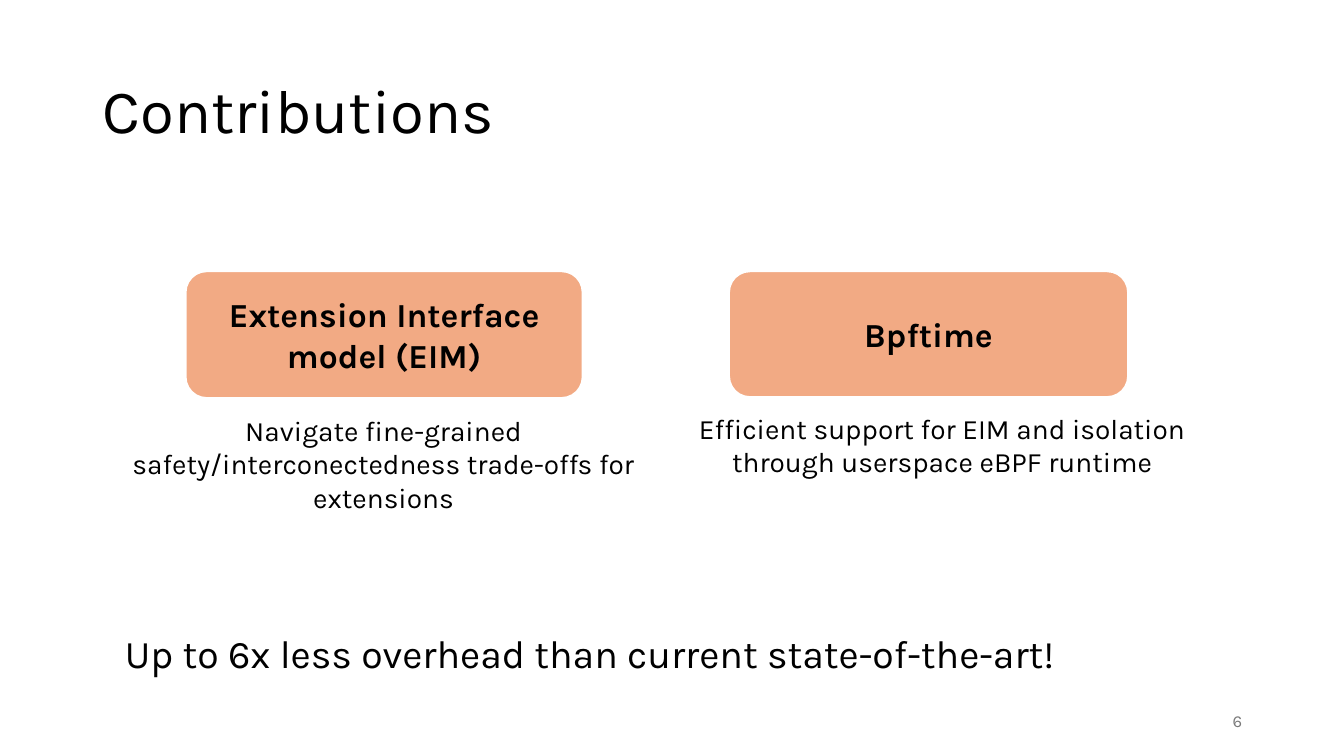
from pptx import Presentation
from pptx.dml.color import RGBColor
from pptx.enum.shapes import MSO_SHAPE
from pptx.enum.text import MSO_ANCHOR, PP_ALIGN
from pptx.util import Inches, Pt

BLACK = RGBColor(0x00, 0x00, 0x00)
GREY = RGBColor(0x79, 0x79, 0x79)
WHITE = RGBColor(0xFF, 0xFF, 0xFF)
PEACH = RGBColor(0xF2, 0xAA, 0x84)
FONT = "Karla"
ROUND = MSO_SHAPE.ROUNDED_RECTANGLE
LEFT, CENTER, RIGHT = PP_ALIGN.LEFT, PP_ALIGN.CENTER, PP_ALIGN.RIGHT
TOP, MIDDLE = MSO_ANCHOR.TOP, MSO_ANCHOR.MIDDLE


class Deck:
    def __init__(self):
        self.show = Presentation()
        self.show.slide_width = Inches(13.33)
        self.show.slide_height = Inches(7.5)
        self.slide = self.show.slides.add_slide(self.show.slide_layouts[5])

    def label(self, shape, text, size, align=LEFT, anchor=TOP, color=BLACK, bold=False):
        frame = shape.text_frame
        frame.word_wrap = True
        frame.vertical_anchor = anchor
        para = frame.paragraphs[0]
        para.text = text
        para.alignment = align
        font = para.font
        font.name, font.size, font.bold = FONT, Pt(size), bold
        font.color.rgb = color
        return para

    def title(self, text, x, y, w, h):
        head = self.slide.shapes.title
        head.left, head.top = Inches(x), Inches(y)
        head.width, head.height = Inches(w), Inches(h)
        self.label(head, text, 44, anchor=MIDDLE).line_spacing = 0.9

    def text(self, text, x, y, w, h, size, **style):
        box = self.slide.shapes.add_textbox(Inches(x), Inches(y), Inches(w), Inches(h))
        self.label(box, text, size, **style)

    def card(self, text, x, y, w, h):
        card = self.slide.shapes.add_shape(ROUND, Inches(x), Inches(y), Inches(w), Inches(h))
        card.shadow.inherit = False
        card.fill.solid()
        card.fill.fore_color.rgb = PEACH
        card.line.color.rgb = WHITE
        card.line.width = Pt(1.5)
        self.label(card, text, 24, CENTER, MIDDLE, bold=True)

    def save(self):
        self.show.save("out.pptx")


def main():
    deck = Deck()
    deck.title("Contributions", 0.92, 0.4, 11.5, 1.45)
    deck.text("Up to 6x less overhead than current state-of-the-art!",
              1.14, 6.19, 10.09, 0.57, 28)
    deck.text("6", 9.42, 6.95, 3, 0.4, 12, align=RIGHT, anchor=MIDDLE, color=GREY)
    parts = [
        ("Extension Interface model (EIM)", 1.84, 3.94, 1.26,
         "Navigate fine-grained safety/interconectedness trade-offs for extensions",
         1.19, 4.05, 1.11),
        ("Bpftime", 7.23, 3.96, 1.25,
         "Efficient support for EIM and isolation through userspace eBPF runtime",
         6.73, 4.03, 0.77),
    ]
    for name, x, w, h, note, left, top, tall in parts:
        deck.card(name, x, 2.69, w, h)
        deck.text(note, left, top, 5.23, tall, 20, align=CENTER)
    deck.save()


if __name__ == "__main__":
    main()
